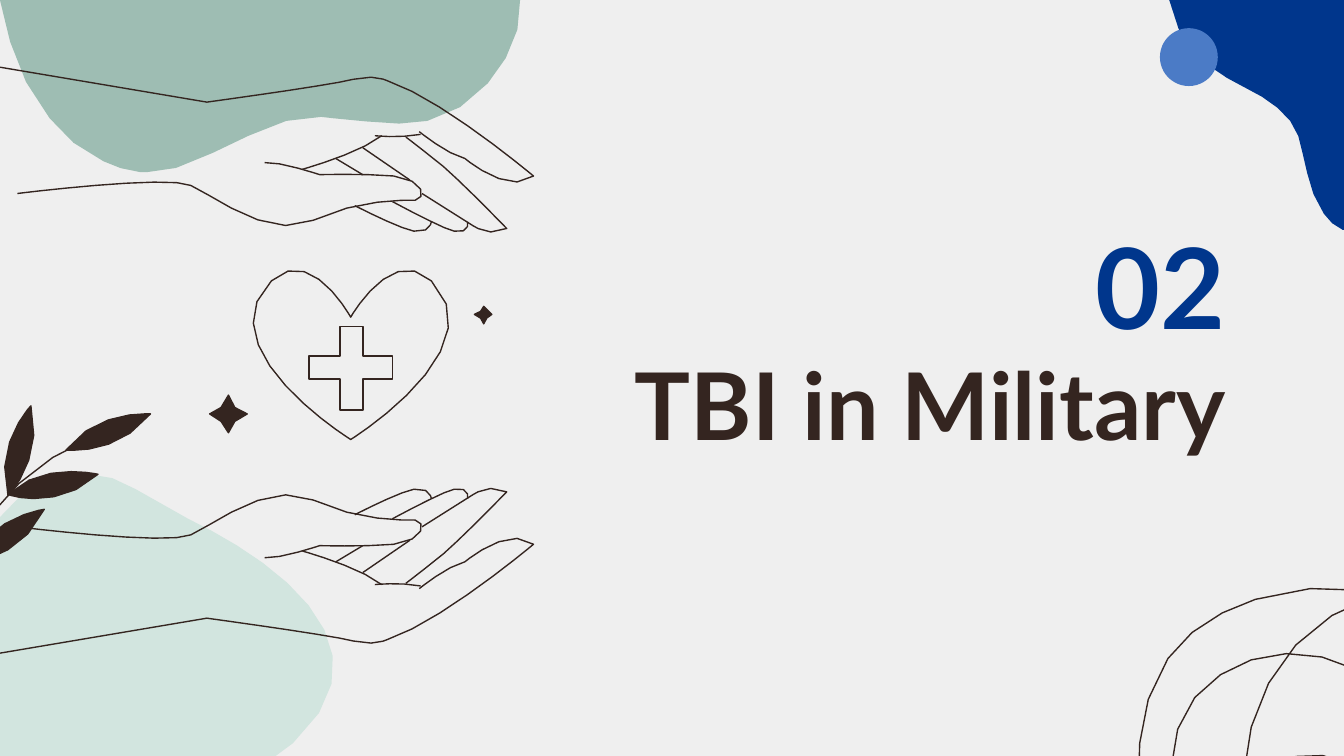
from math import ceil, hypot, sqrt

from pptx import Presentation
from pptx.dml.color import RGBColor
from pptx.enum.shapes import MSO_SHAPE
from pptx.enum.text import MSO_ANCHOR as ANCHOR, PP_ALIGN as ALIGN
from pptx.util import Pt

BACKGROUND = RGBColor(0xEF, 0xEF, 0xEF)
NAVY = RGBColor(0x00, 0x36, 0x8C)
BLUE = RGBColor(0x4B, 0x7B, 0xC6)
BROWN = RGBColor(0x34, 0x25, 0x20)
SAGE = RGBColor(0x9E, 0xBD, 0xB3)
MINT = RGBColor(0xD2, 0xE5, 0xDF)
UNIT = 0.72
MIRROR_SUM = 536

presentation = Presentation()
presentation.slide_width, presentation.slide_height = Pt(720), Pt(405)
slide = presentation.slides.add_slide(presentation.slide_layouts[6])
slide.background.fill.solid()
slide.background.fill.fore_color.rgb = BACKGROUND


def draw_path(path, fill=None, line=None, mirrored=False):
    points = []
    for command in path.replace("Z", "").replace("C", "|C").replace("L", "|L").split("|"):
        values = [float(value) for value in command.strip(" MCL").split()]
        pairs = list(zip(values[::2], values[1::2]))
        if "C" not in command:
            points += pairs
            continue
        for first in range(0, len(pairs), 3):
            controls = [points[-1]] + pairs[first:first + 3]
            bend = max(hypot(a[0] - 2 * b[0] + c[0], a[1] - 2 * b[1] + c[1])
                       for a, b, c in (controls[:3], controls[1:]))
            steps = max(1, ceil(sqrt(bend / 2)))
            for step in range(1, steps + 1):
                t = step / steps
                weights = ((1 - t) ** 3, 3 * t * (1 - t) ** 2, 3 * t * t * (1 - t), t ** 3)
                points.append(tuple(
                    sum(weight * control[axis] for weight, control in zip(weights, controls))
                    for axis in (0, 1)))
    if mirrored:
        points = [(x, MIRROR_SUM - y) for x, y in points]
    points = [(Pt(x * UNIT), Pt(y * UNIT)) for x, y in points]
    builder = slide.shapes.build_freeform(*points[0], scale=1)
    builder.add_line_segments(points[1:], close="Z" in path)
    shape = builder.convert_to_shape()
    shape.shadow.inherit = False
    if fill is None:
        shape.fill.background()
    else:
        shape.fill.solid()
        shape.fill.fore_color.rgb = fill
    if line is None:
        shape.line.fill.background()
    else:
        shape.line.color.rgb = line
        shape.line.width = Pt(0.75)


def add_text(text, left, top, width, height, size, color, anchor):
    frame = slide.shapes.add_textbox(Pt(left), Pt(top), Pt(width), Pt(height)).text_frame
    frame.word_wrap = True
    frame.vertical_anchor = anchor
    frame.margin_left = frame.margin_right = frame.margin_top = frame.margin_bottom = Pt(7.2)
    paragraph = frame.paragraphs[0]
    paragraph.alignment = ALIGN.RIGHT
    run = paragraph.add_run()
    run.text = text
    run.font.name = "Lato"
    run.font.size = Pt(size)
    run.font.bold = True
    run.font.color.rgb = color


draw_path("M 870 0 C 872 15 880 29 890 40 897 47 904 53 913 58 921 63 930 67 939 72 "
          "947 77 955 83 960 90 965 97 968 105 969 113 973 129 975 145 985 159 "
          "988 164 994 169 999 171 L 1000 171 1000 0 Z", fill=NAVY)

circle = slide.shapes.add_shape(MSO_SHAPE.OVAL, Pt(621.4), Pt(15.1), Pt(31), Pt(31))
circle.shadow.inherit = False
circle.fill.solid()
circle.fill.fore_color.rgb = BLUE
circle.line.fill.background()

add_text("TBI in Military", left=301, top=190.8, width=363, height=62.6,
         size=50, color=BROWN, anchor=ANCHOR.BOTTOM)
add_text("02", left=573.1, top=116.6, width=90.7, height=72,
         size=60, color=NAVY, anchor=ANCHOR.MIDDLE)

draw_path("M 0 0 C 6 31 16 63 37 88 47 102 61 112 77 120 85 124 94 127 104 128 "
          "106 128 108 128 110 128 117 128 124 127 131 125 150 119 167 109 185 101 "
          "194 97 204 93 213 90 222 88 230 87 239 87 242 87 245 88 248 88 "
          "264 89 281 92 297 92 304 92 311 91 318 90 335 86 351 76 363 62 "
          "378 45 389 22 387 0 Z", fill=SAGE)
draw_path("M 61 352 C 32 352 -4 371 -37 446 -81 547 -5 603 83 603 "
          "131 603 181 587 218 553 301 477 192 411 140 386 127 380 114 372 101 364 "
          "92 358 77 352 61 352 Z", fill=MINT)

draw_path("M -26 442 C -26 442 -30 366 73 323", line=BROWN)
leaves = [
    "M 108 308 C 96 308 67 311 49 335 49 335 51 335 55 335 67 335 93 332 112 308 "
    "112 308 111 308 108 308 Z",
    "M 53 351 C 39 351 21 354 6 368 6 368 14 371 25 371 39 371 57 368 73 353 "
    "73 353 65 351 53 351 Z",
    "M 23 302 C 23 302 -5 331 6 369 6 369 33 341 23 302 Z",
    "M 33 379 C 33 379 -7 384 -23 419 -23 419 16 416 33 379 Z",
]
for leaf in leaves:
    draw_path(leaf, fill=BROWN, line=BROWN)

hand = [
    "M 13 144 C 13 144 125 130 142 138 160 146 200 179 233 164 267 148 301 149 309 149 "
    "317 148 317 134 293 131 269 129 238 130 238 130 238 130 208 120 197 121",
    "M 225 126 C 225 126 268 114 284 101",
    "M 279 101 C 279 101 297 103 313 100",
    "M 312 98 C 312 98 333 115 346 118 346 118 379 146 397 131 397 131 328 73 288 60 "
    "288 60 278 55 263 59 249 63 154 76 154 76 L 0 50",
    "M 270 110 L 305 134",
    "M 314 144 L 352 168 C 352 168 365 177 377 170 377 170 344 136 330 124 "
    "314 111 302 102 302 102",
    "M 250 118 L 270 130",
    "M 292 150 C 292 150 331 171 338 172 347 174 349 168 348 165",
    "M 264 153 C 264 153 297 170 308 172 320 174 321 165 321 165",
]
for mirrored in (False, True):
    for stroke in hand:
        draw_path(stroke, line=BROWN, mirrored=mirrored)

draw_path("M 321 209 C 292 181 261 236 261 236 261 236 231 181 202 209 "
          "151 259 261 327 261 327 261 327 371 259 321 209 Z", line=BROWN)
draw_path("M 253 243 L 253 265 230 265 230 282 253 282 253 305 270 305 270 282 "
          "292 282 292 265 270 265 270 243 Z", line=BROWN)

sparkles = [
    "M 170 294 C 168 301 162 307 156 308 162 310 168 316 170 322 "
    "171 316 177 310 184 308 177 307 171 301 170 294 Z",
    "M 360 228 C 359 231 357 233 353 234 357 235 359 238 360 241 "
    "361 238 363 235 366 234 363 233 361 231 360 228 Z",
]
for sparkle in sparkles:
    draw_path(sparkle, fill=BROWN, line=BROWN)

draw_path("M 1013 760 C 946 736 877 696 854 629 846 605 845 579 848 553 "
          "850 531 856 509 869 490 884 468 909 454 934 446 987 429 1048 437 1093 470 "
          "1137 503 1162 562 1151 616 1140 670 1091 716 1036 719 991 722 947 698 916 666 "
          "897 646 881 623 875 597 868 570 872 540 889 519 900 506 915 496 931 491 "
          "973 477 1025 495 1046 534 1066 573 1049 629 1008 646 989 654 965 653 948 640 "
          "931 628 924 602 934 584 946 561 980 556 1003 568 1026 581 1041 605 1051 629 "
          "1061 653 1068 679 1082 701 1096 723 1120 741 1146 740 1177 739 1200 712 1213 685 "
          "1239 635 1244 573 1217 523 1190 472 1132 441 1073 439 1045 438 1015 443 991 458 "
          "961 476 940 507 931 541 922 575 924 611 935 644 950 694 984 739 1029 765 "
          "1074 791 1132 797 1180 778 1229 758 1267 713 1274 661", line=BROWN)

presentation.save("out.pptx")
